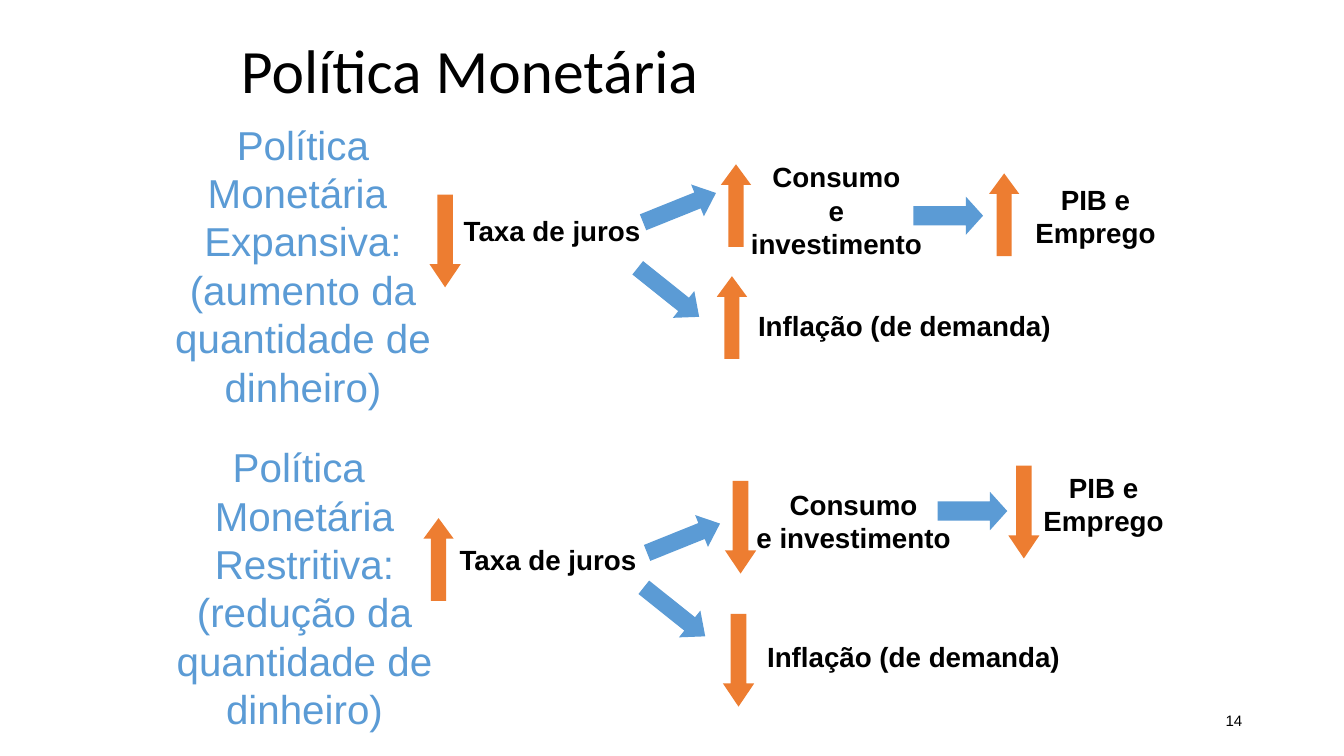
from pptx import Presentation
from pptx import util as u
from pptx.dml.color import RGBColor
from pptx.enum import shapes, text

# Content: labels as (left, top, width, height, wrap, lines)
HEX = {"ink": "000000", "blue": "5B9BD5", "orange": "ED7D31"}
TITLE = "Política Monetária"
PAGE = "14"
RATE = ["Taxa de juros"]
SPEND = ["Consumo", "e investimento"]
JOBS = ["PIB e", "Emprego"]
PRICE = ["Inflação (de demanda)"]

HEADS = [
    (1.63, 1.14, 2.75, 3.01, True,
     ["Política Monetária ", "Expansiva:", "(aumento da quantidade de dinheiro)"]),
    (1.64, 4.34, 2.76, 3.01, False,
     ["Política ", "Monetária", "Restritiva:", "(redução da", "quantidade de", "dinheiro)"]),
]
LABELS = [
    (4.49, 2.07, 1.97, 0.43, False, RATE),
    (7.29, 1.54, 2.01, 1.1, True, SPEND),
    (10.16, 1.76, 1.41, 0.77, False, JOBS),
    (7.4, 3.01, 3.14, 0.43, False, PRICE),
    (4.45, 5.34, 1.97, 0.43, False, RATE),
    (7.39, 4.79, 2.15, 0.77, False, SPEND),
    (10.24, 4.62, 1.41, 0.77, False, JOBS),
    (7.49, 6.3, 3.14, 0.43, False, PRICE),
]

# Arrow kinds: shape, width, height, turn, head share, colour
KIND = shapes.MSO_SHAPE
ARROWS = {
    "up": (KIND.UP_ARROW, 0.3, 0.82, 0, 0.68, "orange"),
    "down": (KIND.DOWN_ARROW, 0.31, 0.92, 0, 0.74, "orange"),
    "rise": (KIND.RIGHT_ARROW, 0.78, 0.34, 338.1, 0.58, "blue"),
    "fall": (KIND.RIGHT_ARROW, 0.78, 0.34, 38.6, 0.58, "blue"),
    "next": (KIND.RIGHT_ARROW, 0.69, 0.38, 0, 0.45, "blue"),
}
SPOTS = [
    # Expansive policy
    ("down", 4.26, 1.93), ("fall", 6.24, 2.73), ("rise", 6.35, 1.89),
    ("up", 7.15, 1.63), ("next", 9.06, 1.95), ("up", 9.81, 1.72), ("up", 7.11, 2.74),
    # Restrictive policy
    ("up", 4.2, 5.14), ("rise", 6.39, 5.17), ("fall", 6.3, 5.9),
    ("down", 7.19, 4.77), ("next", 9.3, 4.88), ("down", 10, 4.62), ("down", 7.17, 6.09),
]

deck = Presentation()
deck.slide_width, deck.slide_height = u.Inches(13.33), u.Inches(7.5)
slide = deck.slides.add_slide(deck.slide_layouts[5])


def tint(name):
    return RGBColor.from_string(HEX[name])


def write(frame, lines, size, hue, side, face="Arial", bold=False):
    for i, line in enumerate(lines):
        par = frame.paragraphs[0] if i == 0 else frame.add_paragraph()
        par.alignment = side
        run = par.add_run()
        run.text = line
        font = run.font
        font.name, font.size, font.bold = face, u.Pt(size), bold
        font.color.rgb = tint(hue)


def label(x, y, w, h, wrap, lines, size, hue, side=text.PP_ALIGN.CENTER, bold=False):
    box = slide.shapes.add_textbox(*map(u.Inches, (x, y, w, h)))
    box.text_frame.word_wrap = wrap
    write(box.text_frame, lines, size, hue, side, bold=bold)
    return box.text_frame


def arrow(kind, x, y):
    form, w, h, turn, head, hue = ARROWS[kind]
    item = slide.shapes.add_shape(form, *map(u.Inches, (x, y, w, h)))
    item.rotation = turn
    item.adjustments[0], item.adjustments[1] = 0.5, head
    item.shadow.inherit = False
    item.fill.solid()
    item.fill.fore_color.rgb = tint(hue)
    item.line.fill.background()


# Title
head = slide.shapes.title
head.left, head.top, head.width, head.height = map(u.Inches, (2.29, 0.33, 8.73, 0.79))
head.text_frame.vertical_anchor = text.MSO_ANCHOR.MIDDLE
head.text_frame.auto_size = text.MSO_AUTO_SIZE.NONE
write(head.text_frame, [TITLE], 44, "ink", text.PP_ALIGN.LEFT, "Calibri")
head.text_frame.paragraphs[0].line_spacing = 0.9

# Arrows and labels
for spot in SPOTS:
    arrow(*spot)
for row in HEADS:
    label(*row, 28.8, "blue")
for row in LABELS:
    label(*row, 19.8, "ink", bold=True)

# Page number
foot = label(9.42, 6.95, 3, 0.4, True, [PAGE], 10.8, "ink", text.PP_ALIGN.RIGHT)
foot.vertical_anchor = text.MSO_ANCHOR.MIDDLE

deck.save("out.pptx")
